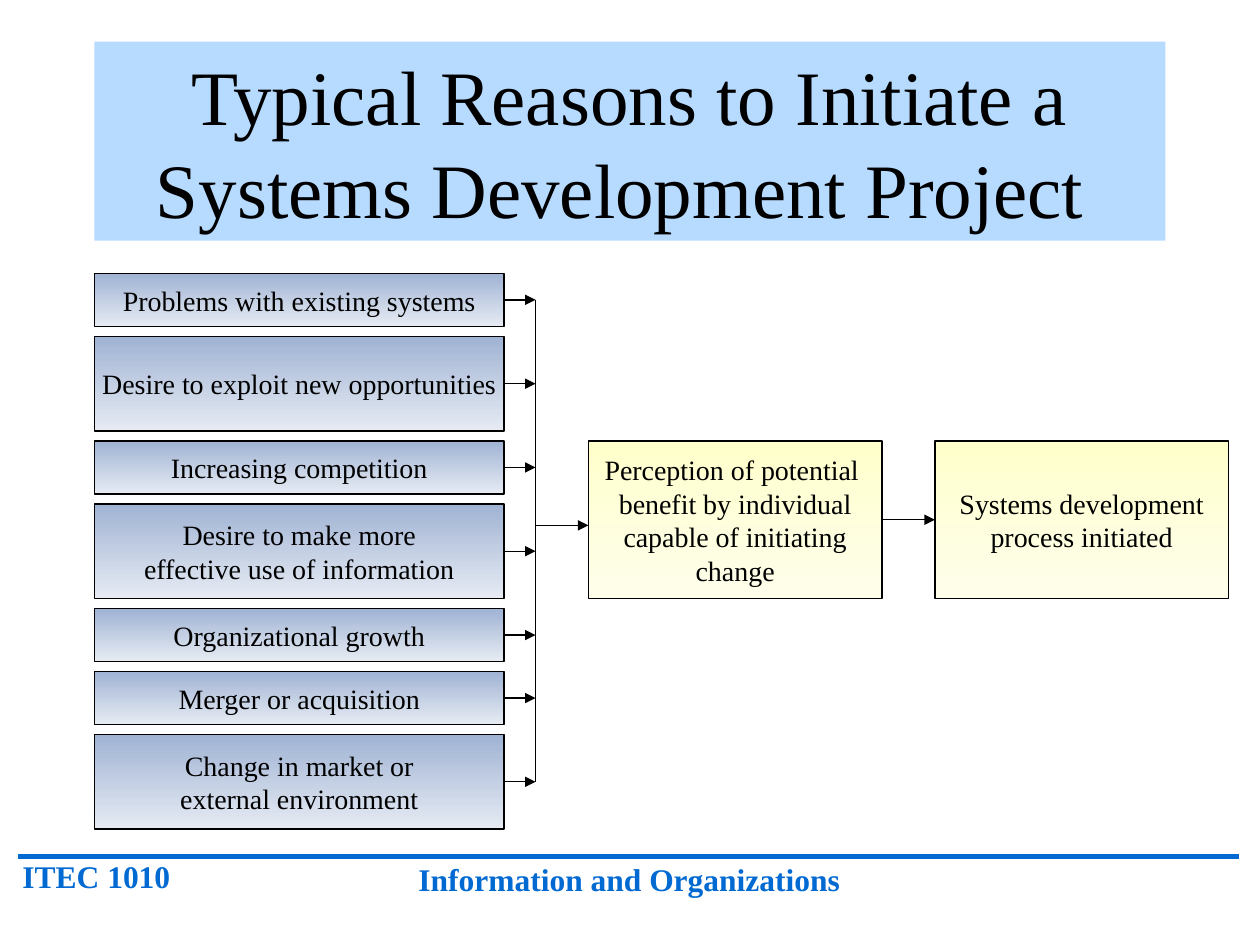
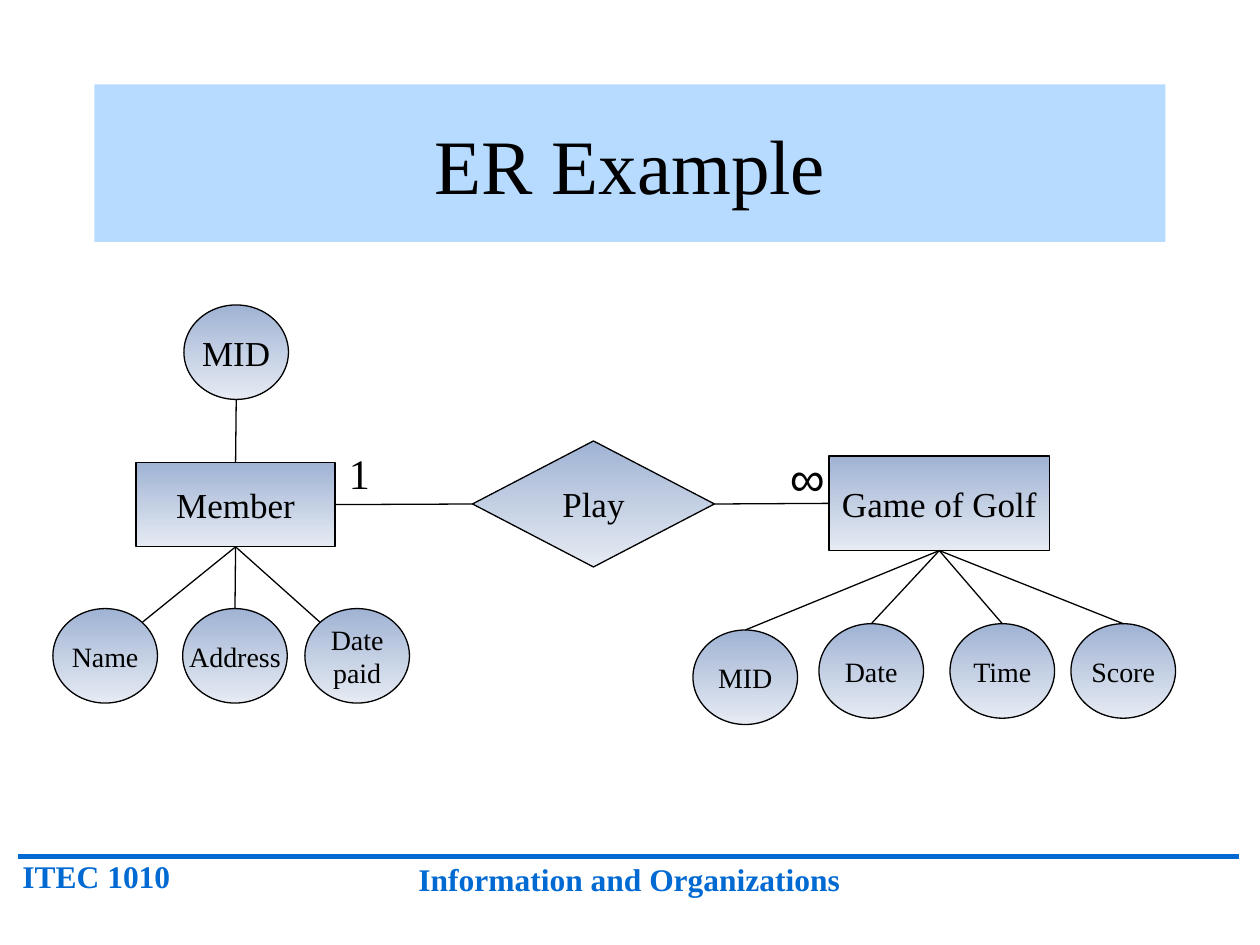
from math import cos, radians, sin

from lxml.etree import SubElement
from pptx import Presentation
from pptx.dml.color import RGBColor
from pptx.enum.shapes import MSO_CONNECTOR, MSO_SHAPE
from pptx.enum.text import MSO_ANCHOR, PP_ALIGN
from pptx.oxml.ns import qn
from pptx.util import Inches, Pt

COLORS = {
    "title_band": "B7DBFF",
    "footer": "0069D2",
    "ink": "000000",
    "blue_top": "A0B3D4",
    "blue_bottom": "E6EBF3",
    "yellow_top": "FFFFCC",
    "yellow_bottom": "FEFEEB",
}
BLUE = ("blue_top", "blue_bottom")
YELLOW = ("yellow_top", "yellow_bottom")
SERIF = "Times New Roman"
TOP, LEFT, BOTTOM, RIGHT = range(4)
OVAL_WIDTH, OVAL_HEIGHT = 0.83, 0.75


def color(name):
    return RGBColor.from_string(COLORS[name])


def write(shape, text, size=16, font=SERIF, ink="ink", bold=False,
          align=PP_ALIGN.CENTER, anchor=MSO_ANCHOR.MIDDLE, wrap=False):
    """Fill a shape with one formatted paragraph; newlines become line breaks."""
    frame = shape.text_frame
    frame.word_wrap = wrap
    frame.vertical_anchor = anchor
    paragraph = frame.paragraphs[0]
    paragraph.text = text
    paragraph.alignment = align
    for run in paragraph.runs:
        run.font.size = Pt(size)
        run.font.name = font
        run.font.bold = bold
        run.font.color.rgb = color(ink)
    for line_break in paragraph._p.findall(qn("a:br")):
        SubElement(line_break, qn("a:rPr"), sz=str(size * 100))


def add_label(slide, box, text, **text_format):
    label = slide.shapes.add_textbox(*map(Inches, box))
    write(label, text, anchor=MSO_ANCHOR.TOP, wrap=True, **text_format)


def add_node(slide, box, text, kind=MSO_SHAPE.RECTANGLE, shades=BLUE, size=16):
    """Add an outlined shape with a top-to-bottom gradient."""
    node = slide.shapes.add_shape(kind, *map(Inches, box))
    node.shadow.inherit = False
    node.fill.gradient()
    node.fill.gradient_angle = 270
    for stop, shade in zip(node.fill.gradient_stops, shades):
        stop.color.rgb = color(shade)
    node.line.color.rgb = color("ink")
    node.line.width = Pt(0.75)
    write(node, text, size=size)
    return node


def connect(slide, start, end, arrow=False, ink="ink", width=0.75):
    """Draw a line; each end is an (x, y) point or a (shape, side) pair."""
    points = [(0, 0) if hasattr(place[0], "shape_id") else place
              for place in (start, end)]
    connector = slide.shapes.add_connector(
        MSO_CONNECTOR.STRAIGHT,
        *(Inches(value) for point in points for value in point))
    for place, join in ((start, connector.begin_connect),
                        (end, connector.end_connect)):
        if hasattr(place[0], "shape_id"):
            join(*place)
    connector.line.color.rgb = color(ink)
    connector.line.width = Pt(width)
    properties = connector._element.spPr
    if arrow:
        SubElement(properties.find(qn("a:ln")), qn("a:tailEnd"), type="triangle")
    SubElement(properties, qn("a:effectLst"))


def add_base_slide(presentation, title, title_box):
    """Add a slide with the shared footer and title band."""
    slide = presentation.slides.add_slide(presentation.slide_layouts[6])
    # Footer
    connect(slide, (0.14, 6.8), (9.83, 6.8), ink="footer", width=3)
    add_label(slide, (0.08, 6.75, 1.67, 0.4), "ITEC 1010", size=18,
              ink="footer", bold=True, align=PP_ALIGN.LEFT)
    add_label(slide, (2.58, 6.78, 4.83, 0.4), "Information and Organizations",
              size=18, ink="footer", bold=True)
    # Title band
    band = slide.shapes.add_shape(MSO_SHAPE.RECTANGLE, *map(Inches, title_box))
    band.shadow.inherit = False
    band.fill.solid()
    band.fill.fore_color.rgb = color("title_band")
    band.line.fill.background()
    write(band, title, size=44, wrap=True)
    return slide


def add_reasons(slide, left, top, width, bus_x):
    """Stack the reasons and lead each one to a vertical bus line."""
    short, tall, gap = 0.42, 0.75, 0.08
    reasons = [
        ("Problems with existing systems", short),
        ("Desire to exploit new opportunities", tall),
        ("Increasing competition", short),
        ("Desire to make more\neffective use of information", tall),
        ("Organizational growth", short),
        ("Merger or acquisition", short),
        ("Change in market or\nexternal environment", tall),
    ]
    middles = []
    for text, height in reasons:
        reason = add_node(slide, (left, top, width, height), text)
        middles.append(top + height / 2)
        connect(slide, (reason, RIGHT), (bus_x, middles[-1]), arrow=True)
        top += height + gap
    connect(slide, (bus_x, middles[-1]), (bus_x, middles[0]))


def add_outcomes(slide, left, top, bus_x):
    """Place the two yellow steps that follow from the reasons."""
    width, height, gap = 2.33, 1.25, 0.42
    perception = add_node(
        slide, (left, top, width, height),
        "Perception of potential \nbenefit by individual\n"
        "capable of initiating\nchange", shades=YELLOW)
    process = add_node(
        slide, (left + width + gap, top, width, height),
        "Systems development\nprocess initiated", shades=YELLOW)
    connect(slide, (bus_x, top + 0.67), (left, top + 0.67), arrow=True)
    connect(slide, (perception, RIGHT), (process, LEFT), arrow=True)


def add_attribute(slide, entity, left, top, text, side=BOTTOM, angle=90, size=16):
    """Add an oval and link the entity's side to its edge at an angle."""
    oval = add_node(slide, (left, top, OVAL_WIDTH, OVAL_HEIGHT), text,
                    kind=MSO_SHAPE.OVAL, size=size)
    if angle == 90:
        end = (oval, TOP)
    else:
        turn = radians(angle)
        end = (left + OVAL_WIDTH / 2 * (1 + cos(turn)),
               top + OVAL_HEIGHT / 2 * (1 - sin(turn)))
    connect(slide, (entity, side), end)


def add_member(slide, left, top):
    member = add_node(slide, (left, top, 1.58, 0.67), "Member", size=20)
    add_attribute(slide, member, left + 0.38, top - 1.25, "MID",
                  side=TOP, angle=270, size=20)
    for text, offset, angle in (("Name", -0.66, 45), ("Address", 0.37, 90),
                                ("Date\npaid", 1.34, 135)):
        add_attribute(slide, member, left + offset, top + 1.16, text, angle=angle)
    return member


def add_game(slide, left, top):
    game = add_node(slide, (left, top, 1.75, 0.75), "Game of Golf", size=20)
    for text, offset, drop in (("MID", -1.08, 1.38), ("Date", -0.08, 1.33),
                               ("Time", 0.96, 1.33), ("Score", 1.92, 1.33)):
        add_attribute(slide, game, left + offset, top + drop, text)
    return game


def add_relationship(slide, box, member, game):
    """Join both entities through the diamond and mark the cardinality."""
    play = add_node(slide, box, "Play", kind=MSO_SHAPE.FLOWCHART_DECISION, size=20)
    connect(slide, (member, RIGHT), (play, LEFT))
    connect(slide, (play, RIGHT), (game, LEFT))
    left, top, width, _ = box
    add_label(slide, (left - 1.08, top, 0.33, 0.5), "1", size=24,
              align=PP_ALIGN.LEFT)
    add_label(slide, (left + width + 0.5, top, 0.58, 0.57), "∞", size=28,
              font="Arial", align=PP_ALIGN.LEFT)


def build_reasons_slide(presentation):
    slide = add_base_slide(
        presentation, "Typical Reasons to Initiate a Systems Development Project ",
        (0.75, 0.33, 8.5, 1.58))
    bus_x = 4.25
    add_reasons(slide, 0.75, 2.17, 3.25, bus_x)
    add_outcomes(slide, 4.67, 3.5, bus_x)


def build_er_slide(presentation):
    slide = add_base_slide(presentation, "ER Example", (0.75, 0.67, 8.5, 1.25))
    member = add_member(slide, 1.08, 3.67)
    game = add_game(slide, 6.58, 3.62)
    add_relationship(slide, (3.75, 3.5, 1.92, 1), member, game)


def main():
    presentation = Presentation()
    presentation.slide_width = Inches(10)
    presentation.slide_height = Inches(7.5)
    build_reasons_slide(presentation)
    build_er_slide(presentation)
    presentation.save("out.pptx")


if __name__ == "__main__":
    main()
